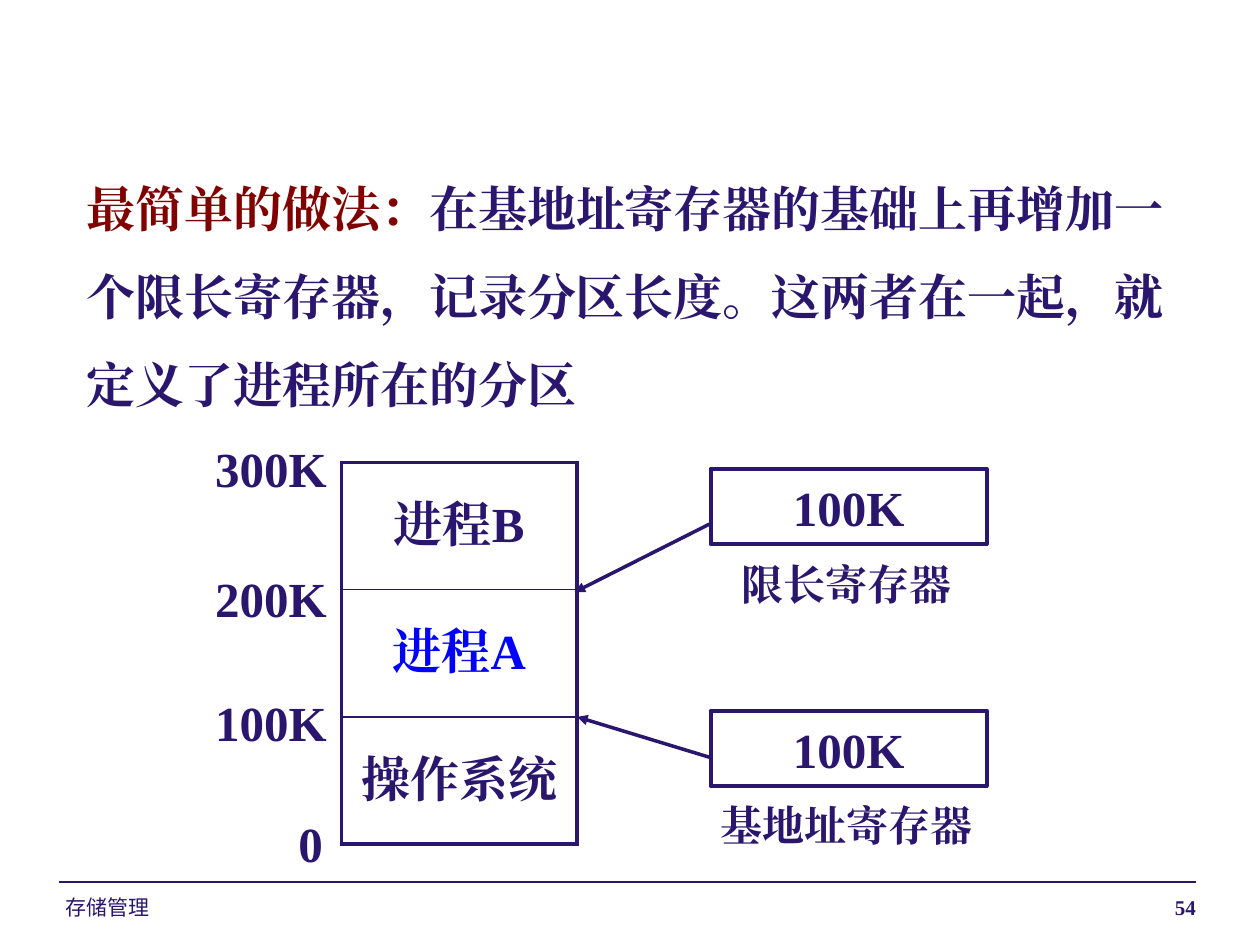
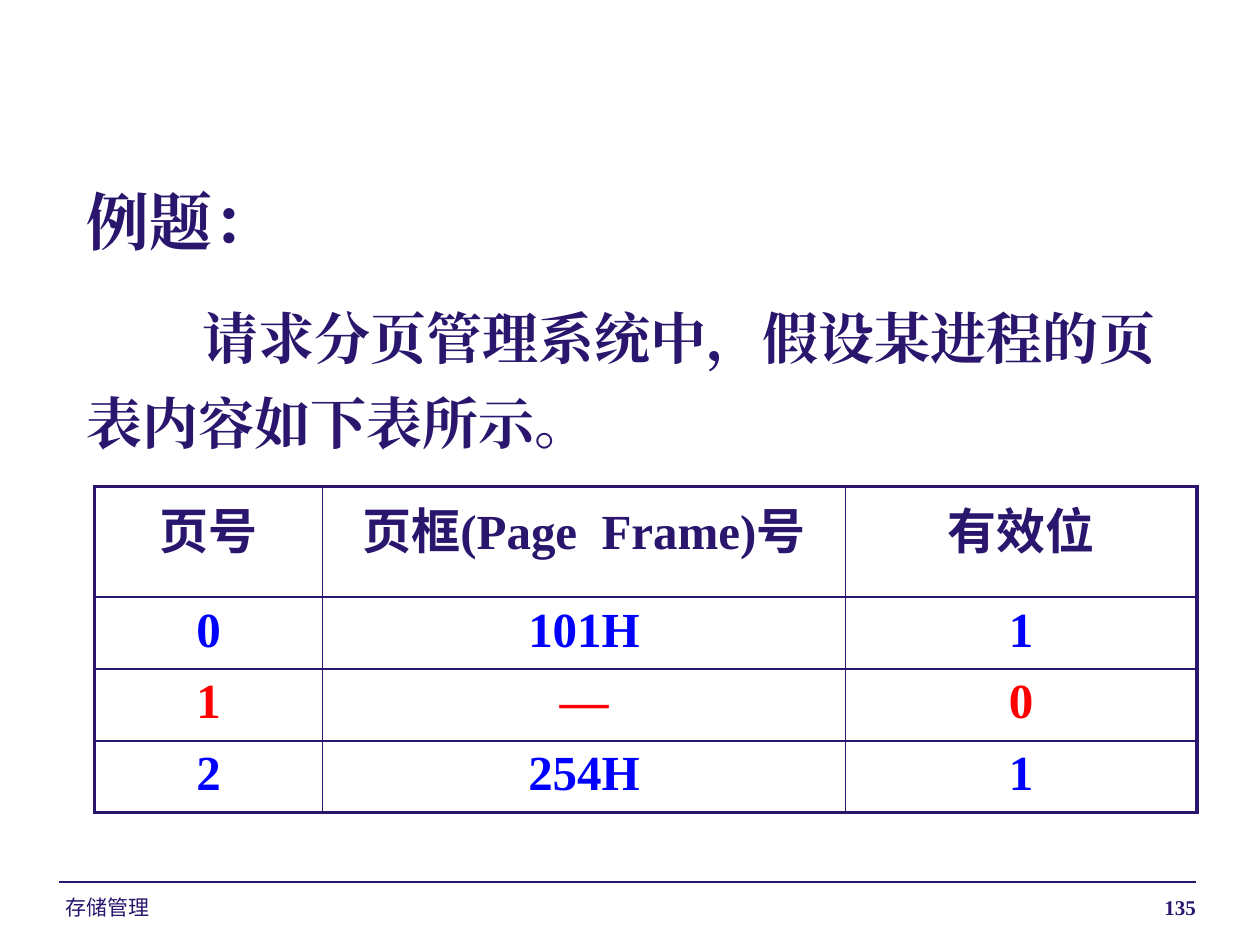
from lxml import etree
from pptx import Presentation
from pptx.dml.color import RGBColor
from pptx.enum.shapes import MSO_CONNECTOR, MSO_SHAPE
from pptx.enum.text import MSO_ANCHOR, PP_ALIGN
from pptx.oxml.ns import qn
from pptx.util import Inches, Pt

LEFT, CENTER, RIGHT = PP_ALIGN.LEFT, PP_ALIGN.CENTER, PP_ALIGN.RIGHT
TOP, MIDDLE = MSO_ANCHOR.TOP, MSO_ANCHOR.MIDDLE
STRAIGHT, RECT = MSO_CONNECTOR.STRAIGHT, MSO_SHAPE.RECTANGLE

COLORS = {"navy": "2B166E", "maroon": "800000", "blue": "0000FF", "red": "FF0000"}
NAVY = RGBColor.from_string(COLORS["navy"])
SERIF, SANS, CJK = "Times New Roman", "Arial", "Noto Sans CJK SC"
THICK, THIN = 2.25, 1


def style(p, text, size=28, color="navy", font=SERIF, bold=True, align=LEFT):
    p.alignment = align
    p.add_run().text = text
    p.font.size, p.font.bold, p.font.name = Pt(size), bold, font
    p.font.color.rgb = RGBColor.from_string(COLORS[color])
    etree.SubElement(p._p.pPr.find(qn("a:defRPr")), qn("a:ea"), typeface=font)
    return p


def add_text(s, text, x, y, w, h, wrap=True, **look):
    tf = s.shapes.add_textbox(Inches(x), Inches(y), Inches(w), Inches(h)).text_frame
    tf.word_wrap = wrap
    style(tf.paragraphs[0], text, **look)
    return tf


prs = Presentation()
prs.slide_width, prs.slide_height = Inches(10), Inches(7.5)
partition_slide, paging_slide = [
    prs.slides.add_slide(prs.slide_layouts[6]) for _ in range(2)]

# Footers
for s, number in ((partition_slide, "54"), (paging_slide, "135")):
    add_text(s, "存储管理", 0.42, 7.05, 2.33, 0.24, size=12, font=SANS, bold=False)
    add_text(s, number, 6.42, 7.05, 3.17, 0.24, size=12, align=RIGHT)

# Slide 1: explanation
s = partition_slide
tf = add_text(s, "最简单的做法：", 0.59, 1.13, 8.9, 2.22)
p = tf.paragraphs[0]
p.line_spacing = Pt(50.5)
p.runs[0].font.color.rgb = RGBColor.from_string(COLORS["maroon"])
p.add_run().text = ("在基地址寄存器的基础上再增加一个限长寄存器，记录分区长度。"
                    "这两者在一起，就定义了进程所在的分区")

# Slide 1: registers and their names
for name, y, name_x, name_w in (("限长寄存器", 3.72, 5.79, 1.88),
                                ("基地址寄存器", 5.64, 5.62, 2.21)):
    sp = s.shapes.add_shape(RECT, Inches(5.64), Inches(y), Inches(2.19), Inches(0.6))
    sp.shadow.inherit = False
    sp.fill.background()
    sp.line.color.rgb, sp.line.width = NAVY, Pt(THICK)
    sp.text_frame.vertical_anchor = MIDDLE
    style(sp.text_frame.paragraphs[0], "100K", align=CENTER)
    add_text(s, name, name_x, y + 0.66, name_w, 0.5, wrap=False, size=24)

# Slide 1: memory addresses
for text, x, y, w in (("300K", 1.61, 3.43, 1.09), ("200K", 1.61, 4.46, 1.09),
                      ("100K", 1.61, 5.45, 1.09), ("0", 2.27, 6.41, 0.4)):
    add_text(s, text, x, y, w, 0.57, wrap=False)

# Slide 2: exercise text
tf = add_text(paging_slide, "例题：", 0.59, 1.4, 8.98, 2.32, size=36)
p = tf.add_paragraph()
p.line_spacing, p.space_before = Pt(48.5), Pt(16)
style(p, "请求分页管理系统中，假设某进程的页表内容如下表所示。", size=32)
p._p.pPr.set("marL", "0")
p._p.pPr.set("indent", str(Inches(0.92)))

# Tables: memory map and page table, each row with its colour
memory_rows = [("navy", ["进程B"]), ("blue", ["进程A"]), ("navy", ["操作系统"])]
page_rows = [("navy", ["页号", "页框", "有效位"]), ("blue", ["0", "101H", "1"]),
             ("red", ["1", "—", "0"]), ("blue", ["2", "254H", "1"])]
tables = [
    (partition_slide, 2.71, 3.67, [1.87], [1.01] * 3, memory_rows, MIDDLE, SERIF),
    (paging_slide, 0.75, 3.86, [1.81, 4.15, 2.79], [0.88] + [0.57] * 3,
     page_rows, TOP, CJK),
]
for s, x, y, widths, heights, rows, anchor, head_font in tables:
    table = s.shapes.add_table(len(heights), len(widths), Inches(x), Inches(y),
                               Inches(sum(widths)), Inches(sum(heights))).table
    table.first_row = table.horz_banding = False
    for column, width in zip(table.columns, widths):
        column.width = Inches(width)
    for i, (color, texts) in enumerate(rows):
        table.rows[i].height = Inches(heights[i])
        for j, text in enumerate(texts):
            cell = table.cell(i, j)
            cell.vertical_anchor = anchor
            style(cell.text_frame.paragraphs[0], text, color=color, align=CENTER,
                  font=SERIF if i else head_font)
            # Thick outer frame, thin inner rules
            outer = {"lnL": j == 0, "lnR": j == len(widths) - 1,
                     "lnT": i == 0, "lnB": i == len(rows) - 1}
            for side, is_outer in outer.items():
                ln = etree.SubElement(cell._tc.get_or_add_tcPr(), qn("a:" + side),
                                      w=str(Pt(THICK if is_outer else THIN)))
                fill = etree.SubElement(ln, qn("a:solidFill"))
                etree.SubElement(fill, qn("a:srgbClr"), val=COLORS["navy"])
            cell.fill.background()

# Page frame heading mixes two fonts
p = table.cell(0, 1).text_frame.paragraphs[0]
r = p.add_run()
r.text = "(Page  Frame)"
r.font.name = SERIF
p.add_run().text = "号"

# Footer rules and the arrows from the registers to the memory map
lines = [
    (partition_slide, 0.47, 7, 9.49, 7, 0.75, False),
    (paging_slide, 0.47, 7, 9.49, 7, 0.75, False),
    (partition_slide, 5.63, 4.16, 4.56, 4.7, 2, True),
    (partition_slide, 5.63, 6.01, 4.58, 5.69, 2, True),
]
for s, x1, y1, x2, y2, width, arrow in lines:
    line = s.shapes.add_connector(STRAIGHT, Inches(x1), Inches(y1), Inches(x2), Inches(y2))
    line.line.color.rgb, line.line.width = NAVY, Pt(width)
    if arrow:
        etree.SubElement(line.line._get_or_add_ln(), qn("a:tailEnd"), type="triangle")
    etree.SubElement(line._element.spPr, qn("a:effectLst"))

prs.save("out.pptx")
